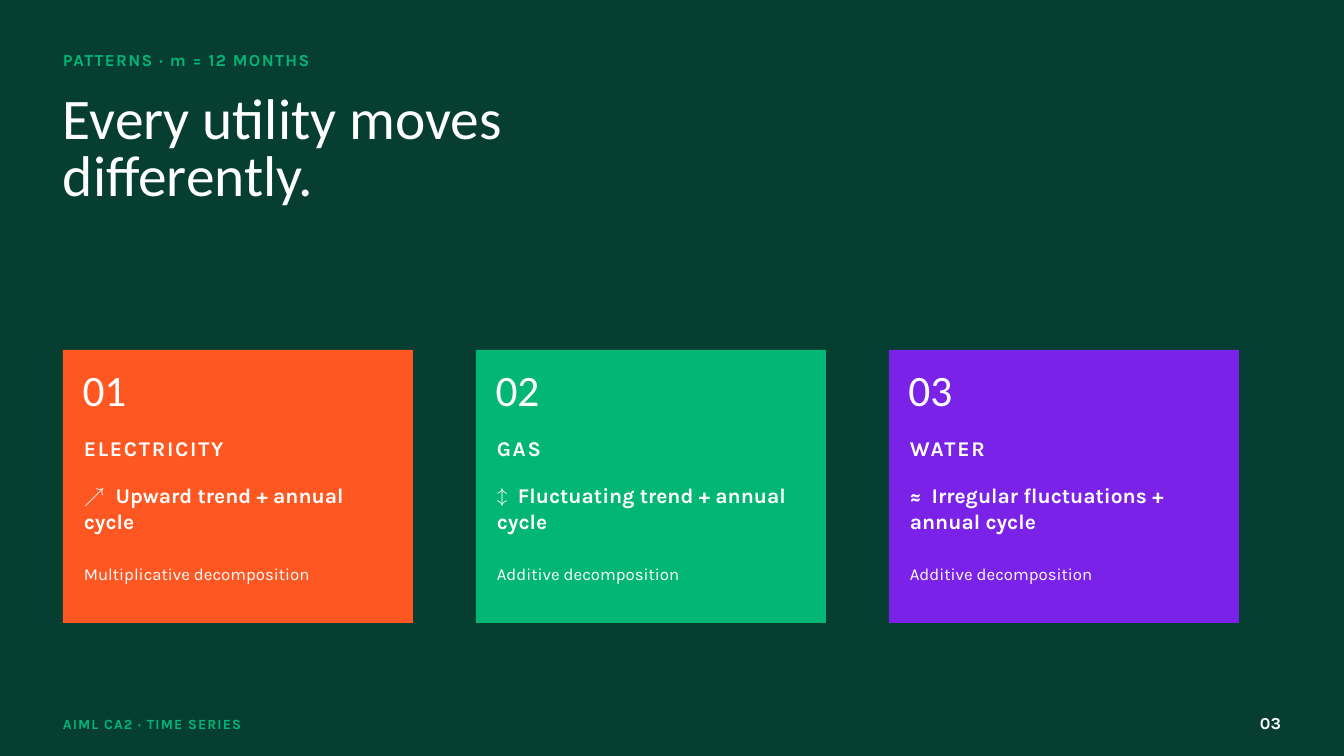
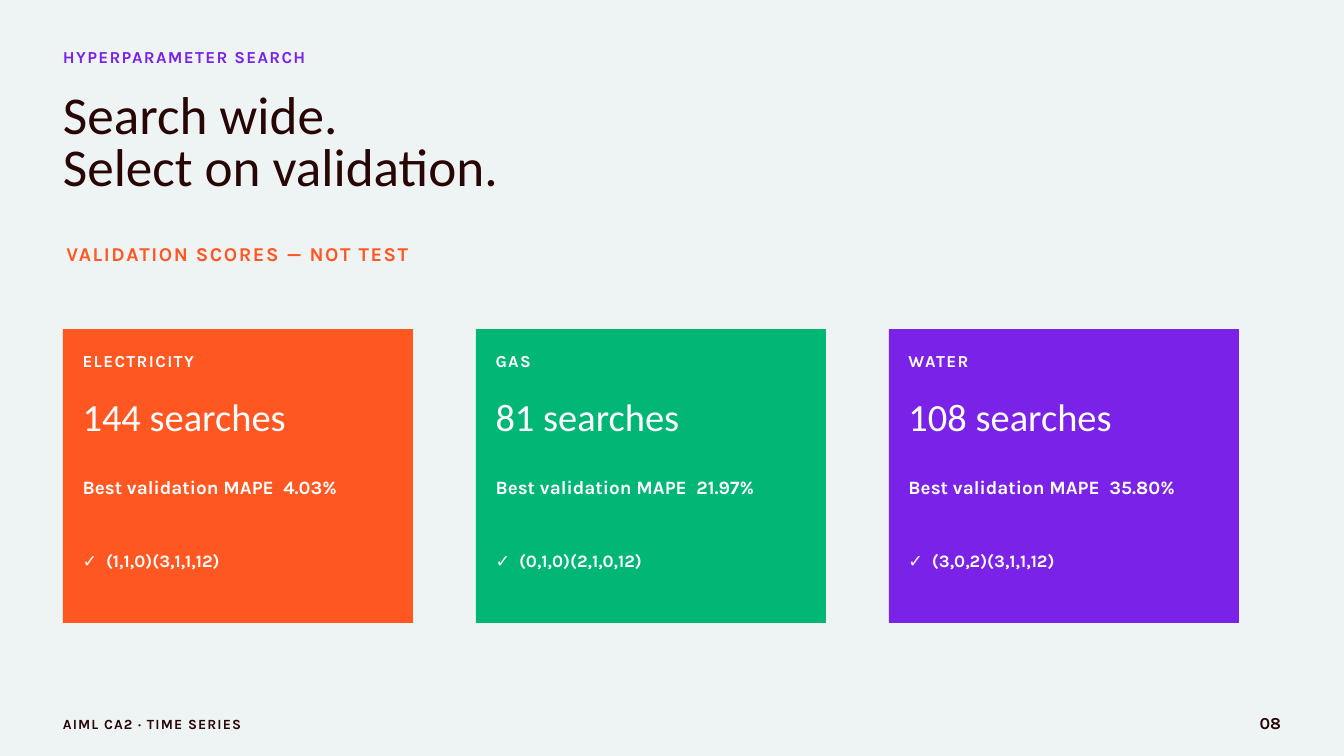
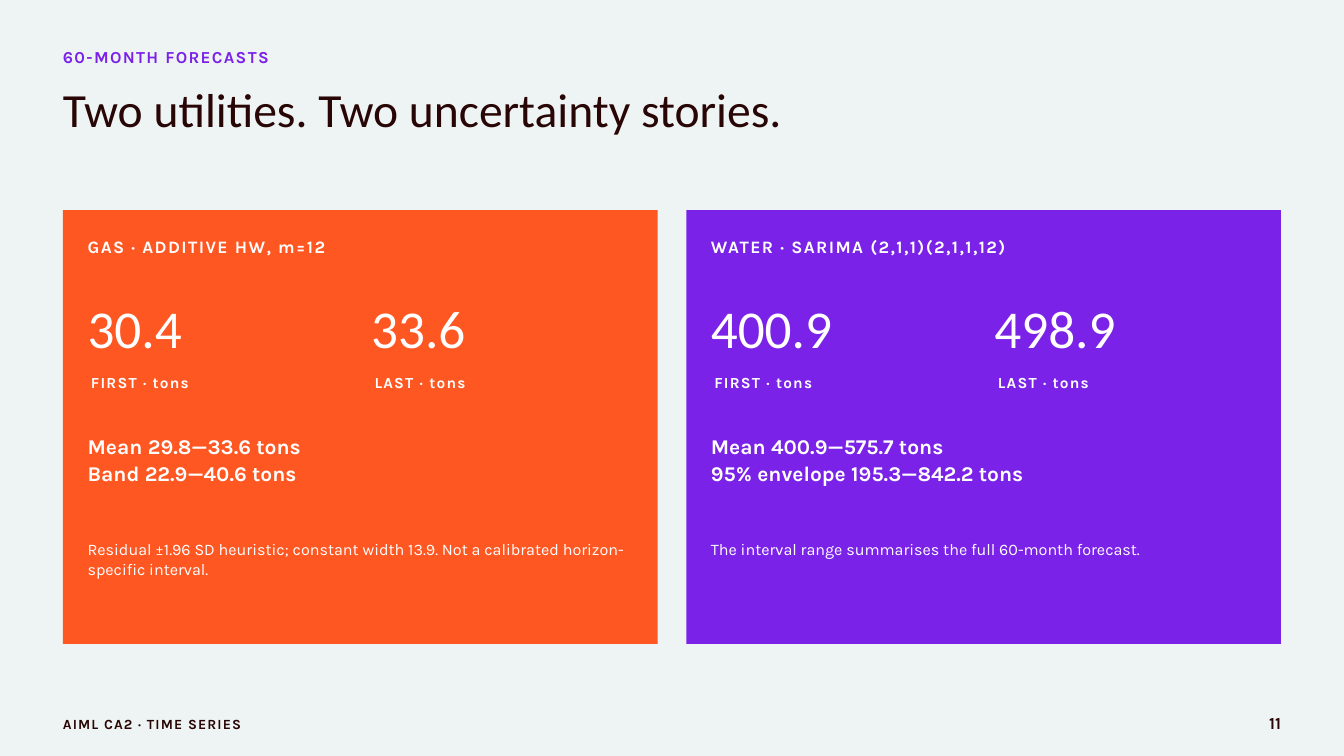
from dataclasses import dataclass

from pptx import Presentation
from pptx.dml.color import RGBColor
from pptx.enum.shapes import MSO_SHAPE
from pptx.enum.text import MSO_AUTO_SIZE, PP_ALIGN
from pptx.util import Cm, Pt

RECT = MSO_SHAPE.RECTANGLE
LEFT, RIGHT = PP_ALIGN.LEFT, PP_ALIGN.RIGHT
GROW = MSO_AUTO_SIZE.SHAPE_TO_FIT_TEXT


@dataclass(frozen=True)
class Face:
    """A text style; lead and track are shares of the type size."""
    font: str
    lead: float
    bold: bool = False
    track: float = 0


@dataclass(frozen=True)
class Theme:
    # Colours
    forest: str = "063F32"
    mist: str = "EEF4F3"
    ink: str = "290606"
    white: str = "FFFFFF"
    orange: str = "FF5722"
    green: str = "02B676"
    violet: str = "7B22E8"
    # Text styles
    head: Face = Face("Calibri", 0.98)
    caps: Face = Face("Karla", 1.4, True, 0.08)
    bold: Face = Face("Karla", 1.25, True)
    body: Face = Face("Karla", 1.25)
    # Type sizes
    foot: float = 15
    unit: float = 16.5
    note: float = 17.25
    small: float = 18
    model: float = 18.75
    score: float = 20.25
    sub: float = 21
    lead: float = 22.5
    count: float = 41.25
    index: float = 46.5
    value: float = 57


THEME = Theme()
EDGE = 2.38     # left margin, cm
END = 48.42     # right margin, cm
CARD = 13.23    # width of a card in a row of three
STEP = 15.61    # from one card of three to the next
FLOOR = 23.55   # bottom of the cards in a row of three
PAD = 0.74      # inset of the text in these cards
COLUMN = 11.38  # width of the text in these cards
FILLS = (THEME.orange, THEME.green, THEME.violet)


class Deck:
    def __init__(self, theme):
        self.theme = theme
        self.prs = Presentation()
        self.prs.slide_width, self.prs.slide_height = Cm(50.8), Cm(28.58)
        self.slide = None

    def page(self, number, dark=False):
        """Start a slide with its background and footer."""
        t = self.theme
        self.slide = self.prs.slides.add_slide(self.prs.slide_layouts[6])
        fill = self.slide.background.fill
        fill.solid()
        fill.fore_color.rgb = RGBColor.from_string(t.forest if dark else t.mist)
        self.text(EDGE, 26.95, 13.23, "AIML CA2 · TIME SERIES", t.caps, t.foot,
                  t.green if dark else t.ink)
        self.text(END - 2.38, 26.9, 2.38, number, t.bold, t.small,
                  t.white if dark else t.ink, align=RIGHT)

    def text(self, x, y, w, words, face, size, color=THEME.white, rows=1,
             align=LEFT):
        """Add a text box with one paragraph per line of words."""
        lines = words.split("\n")
        lead = Pt(size * face.lead)
        box = self.slide.shapes.add_textbox(
            Cm(x), Cm(y), Cm(w), lead * max(rows, len(lines)))
        frame = box.text_frame
        frame.word_wrap = True
        frame.auto_size = GROW
        frame.margin_left = frame.margin_right = 0
        frame.margin_top = frame.margin_bottom = 0
        for i, line in enumerate(lines):
            para = frame.add_paragraph() if i else frame.paragraphs[0]
            para.alignment = align
            para.line_spacing = lead
            run = para.add_run()
            run.text = line
            font = run.font
            font.name, font.size, font.bold = face.font, Pt(size), face.bold
            font.color.rgb = RGBColor.from_string(color)
            if face.track:
                run._r.get_or_add_rPr().set("spc", str(round(size * face.track * 100)))

    def title(self, tag, tag_y, tag_w, words, y, w, size, dark=False):
        """Add the small heading and the title below it."""
        t = self.theme
        self.text(EDGE, tag_y, tag_w, tag, t.caps, t.small,
                  t.green if dark else t.violet)
        self.text(EDGE, y, w, words, t.head, size, t.white if dark else t.ink)

    def card(self, x, y, w, h, color):
        """Add a plain coloured panel."""
        box = self.slide.shapes.add_shape(RECT, Cm(x), Cm(y), Cm(w), Cm(h))
        box.shadow.inherit = False
        box.fill.solid()
        box.fill.fore_color.rgb = RGBColor.from_string(color)
        box.line.fill.background()

    def trio(self, y):
        """Add three cards and return their left edges."""
        edges = [EDGE + i * STEP for i in range(3)]
        for x, color in zip(edges, FILLS):
            self.card(x, y, CARD, FLOOR - y, color)
        return edges


def trends(deck):
    t = deck.theme
    deck.page("03", dark=True)
    deck.title("PATTERNS · m = 12 MONTHS", 1.75, 18.52,
               "Every utility moves\ndifferently.", 3.6, 29.1, 61.5, dark=True)
    items = (
        ("ELECTRICITY", "↗  Upward trend + annual cycle", "Multiplicative"),
        ("GAS", "↕  Fluctuating trend + annual cycle", "Additive"),
        ("WATER", "≈  Irregular fluctuations + annual cycle", "Additive"),
    )
    for i, (x, (name, trend, kind)) in enumerate(zip(deck.trio(13.23), items), 1):
        deck.text(x + PAD, 14.07, 3.18, f"{i:02}", t.head, t.index)
        left = x + 0.79
        deck.text(left, 16.31, COLUMN, name, t.caps, t.lead)
        deck.text(left, 18.21, COLUMN, trend, t.bold, t.lead, rows=2)
        deck.text(left, 21.29, COLUMN, f"{kind} decomposition", t.body, t.small)


def search(deck):
    t = deck.theme
    deck.page("08")
    deck.title("HYPERPARAMETER SEARCH", 1.63, 17.2,
               "Search wide.\nSelect on validation.", 3.5, 23.83, 57)
    deck.text(2.51, 8.99, 20.12, "VALIDATION SCORES — NOT TEST", t.caps, t.sub,
              t.orange)
    items = (
        ("ELECTRICITY", 144, "4.03%", "(1,1,0)(3,1,1,12)"),
        ("GAS", 81, "21.97%", "(0,1,0)(2,1,0,12)"),
        ("WATER", 108, "35.80%", "(3,0,2)(3,1,1,12)"),
    )
    for x, (name, count, score, order) in zip(deck.trio(12.44), items):
        rows = (
            (13.13, name, t.caps, t.small),
            (15.16, f"{count} searches", t.head, t.count),
            (17.96, f"Best validation MAPE  {score}", t.bold, t.score),
            (20.75, f"✓  {order}", t.bold, t.model),
        )
        for y, words, face, size in rows:
            deck.text(x + PAD, y, COLUMN, words, face, size)


def future(deck):
    t = deck.theme
    deck.page("11")
    deck.title("60-MONTH FORECASTS", 1.63, 13.23,
               "Two utilities. Two uncertainty stories.", 3.43, 39.67, 51)
    items = (
        (t.orange, "GAS · ADDITIVE HW, m=12", ("30.4", "33.6"),
         "Mean 29.8—33.6 tons\nBand 22.9—40.6 tons",
         "Residual ±1.96 SD heuristic; constant width 13.9. "
         "Not a calibrated horizon-specific interval.", 2),
        (t.violet, "WATER · SARIMA (2,1,1)(2,1,1,12)", ("400.9", "498.9"),
         "Mean 400.9—575.7 tons\n95% envelope 195.3—842.2 tons",
         "The interval range summarises the full 60-month forecast.", 1),
    )
    wide = 22.48
    for i, (color, name, values, span, note, rows) in enumerate(items):
        x = EDGE + i * (END - EDGE - wide)
        deck.card(x, 7.94, wide, 16.4, color)
        left, width = x + 0.93, 20.62
        deck.text(left, 8.79, width, name, t.caps, t.model)
        # First and last values side by side
        for j, (value, label) in enumerate(zip(values, ("FIRST", "LAST"))):
            col = left + j * 10.72
            deck.text(col, 11.61, 9.27, value, t.head, t.value)
            deck.text(col + 0.13, 13.97, 7.92, f"{label} · tons", t.caps, t.unit)
        deck.text(left, 16.36, width, span, t.bold, t.lead)
        deck.text(left, 20.37, width, note, t.body, t.note, rows=rows)


def main():
    deck = Deck(THEME)
    trends(deck)
    search(deck)
    future(deck)
    deck.prs.save("out.pptx")


if __name__ == "__main__":
    main()
